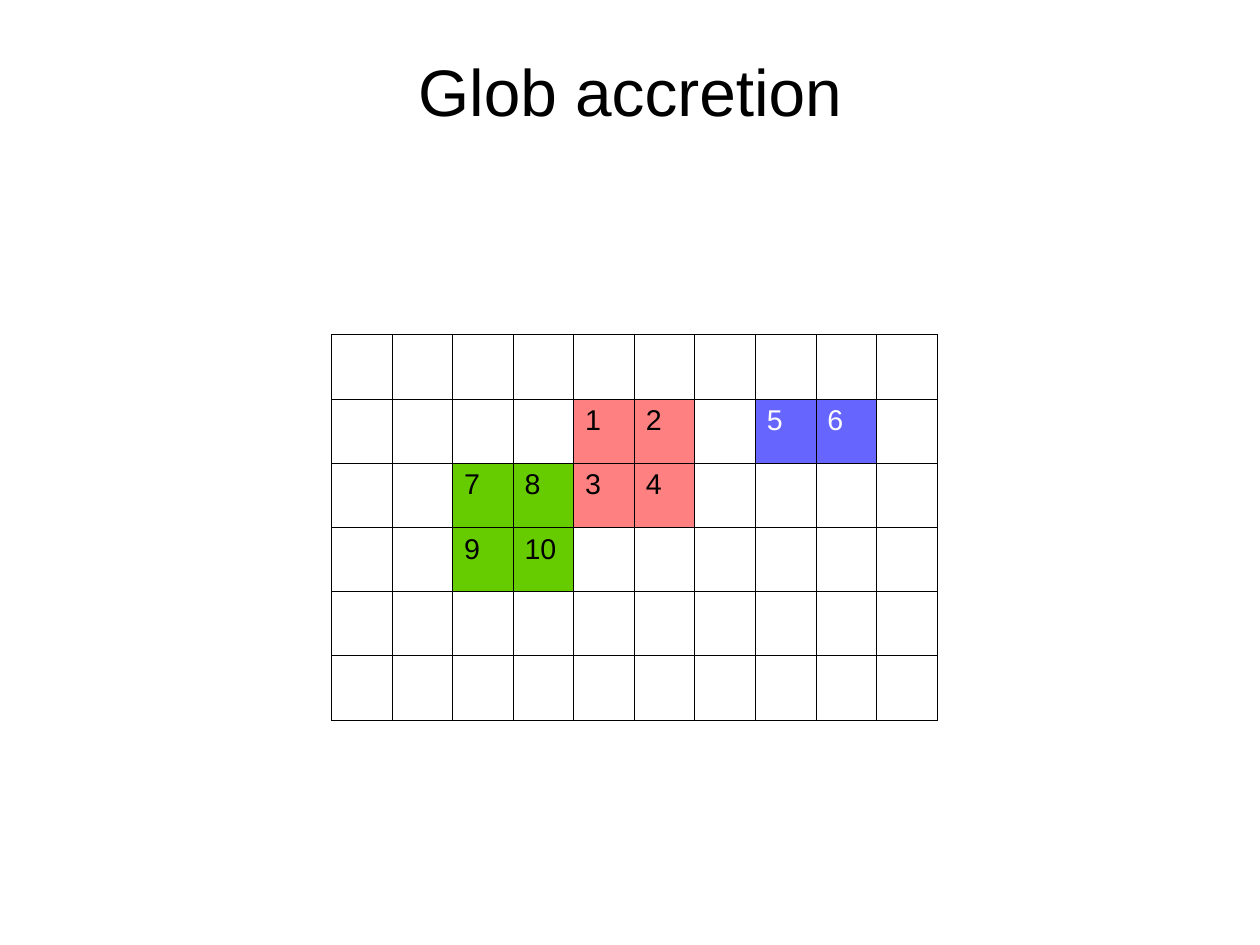
from lxml import etree
from pptx import Presentation
from pptx.dml.color import RGBColor
from pptx.enum.text import MSO_ANCHOR, PP_ALIGN
from pptx.oxml.ns import qn
from pptx.util import Cm, Inches, Pt

CENTER = PP_ALIGN.CENTER
MIDDLE = MSO_ANCHOR.MIDDLE
FONT = "Arial"
BLACK, WHITE = "000000", "FFFFFF"

SLIDE_WIDTH, SLIDE_HEIGHT = Cm(28), Cm(21)
TITLE = "Glob accretion"
ROWS, COLUMNS = 6, 10
GRID_LEFT, GRID_TOP = Inches(2.9), Inches(2.93)
GRID_WIDTH, GRID_HEIGHT = Inches(5.3), Inches(3.37)
BORDER_WIDTH = 0.57

# first row, first column, labels by row, fill, text colour
GLOBS = [
    (1, 4, [["1", "2"], ["3", "4"]], "FF8080", BLACK),
    (1, 7, [["5", "6"]], "6666FF", WHITE),
    (2, 2, [["7", "8"], ["9", "10"]], "66CC00", BLACK),
]


def rgb(value):
    return RGBColor.from_string(value)


def style_text(frame, size, color):
    for para in frame.paragraphs:
        for span in para.runs:
            span.font.size = Pt(size)
            span.font.name = FONT
            span.font.color.rgb = rgb(color)


def add_borders(cell):
    properties = cell._tc.get_or_add_tcPr()
    for side in ("a:lnL", "a:lnR", "a:lnT", "a:lnB"):
        line = etree.SubElement(properties, qn(side), w=str(Pt(BORDER_WIDTH)))
        fill = etree.SubElement(line, qn("a:solidFill"))
        etree.SubElement(fill, qn("a:srgbClr"), val=BLACK)


def add_title(slide):
    title = slide.shapes.title
    title.left, title.top = int(SLIDE_WIDTH * 0.05), Cm(0.8)
    title.width, title.height = int(SLIDE_WIDTH * 0.9), Cm(2.4)
    frame = title.text_frame
    frame.text = TITLE
    frame.margin_left = frame.margin_right = 0
    frame.margin_top = frame.margin_bottom = 0
    frame.vertical_anchor = MIDDLE
    frame.paragraphs[0].alignment = CENTER
    style_text(frame, 41.4, BLACK)


def add_grid(slide):
    """Add the empty grid; its columns and rows share the size equally."""
    grid = slide.shapes.add_table(
        ROWS, COLUMNS, GRID_LEFT, GRID_TOP, GRID_WIDTH, GRID_HEIGHT).table
    grid.first_row = grid.horz_banding = False
    for cell in grid.iter_cells():
        add_borders(cell)
        cell.fill.background()
    return grid


def fill_globs(grid):
    for first_row, first_column, labels, fill, color in GLOBS:
        for row, line in enumerate(labels, first_row):
            for column, label in enumerate(line, first_column):
                cell = grid.cell(row, column)
                cell.text_frame.text = label
                style_text(cell.text_frame, 18, color)
                cell.fill.solid()
                cell.fill.fore_color.rgb = rgb(fill)


def main():
    deck = Presentation()
    deck.slide_width, deck.slide_height = SLIDE_WIDTH, SLIDE_HEIGHT
    slide = deck.slides.add_slide(deck.slide_layouts[5])
    add_title(slide)
    fill_globs(add_grid(slide))
    deck.save("out.pptx")


if __name__ == "__main__":
    main()
